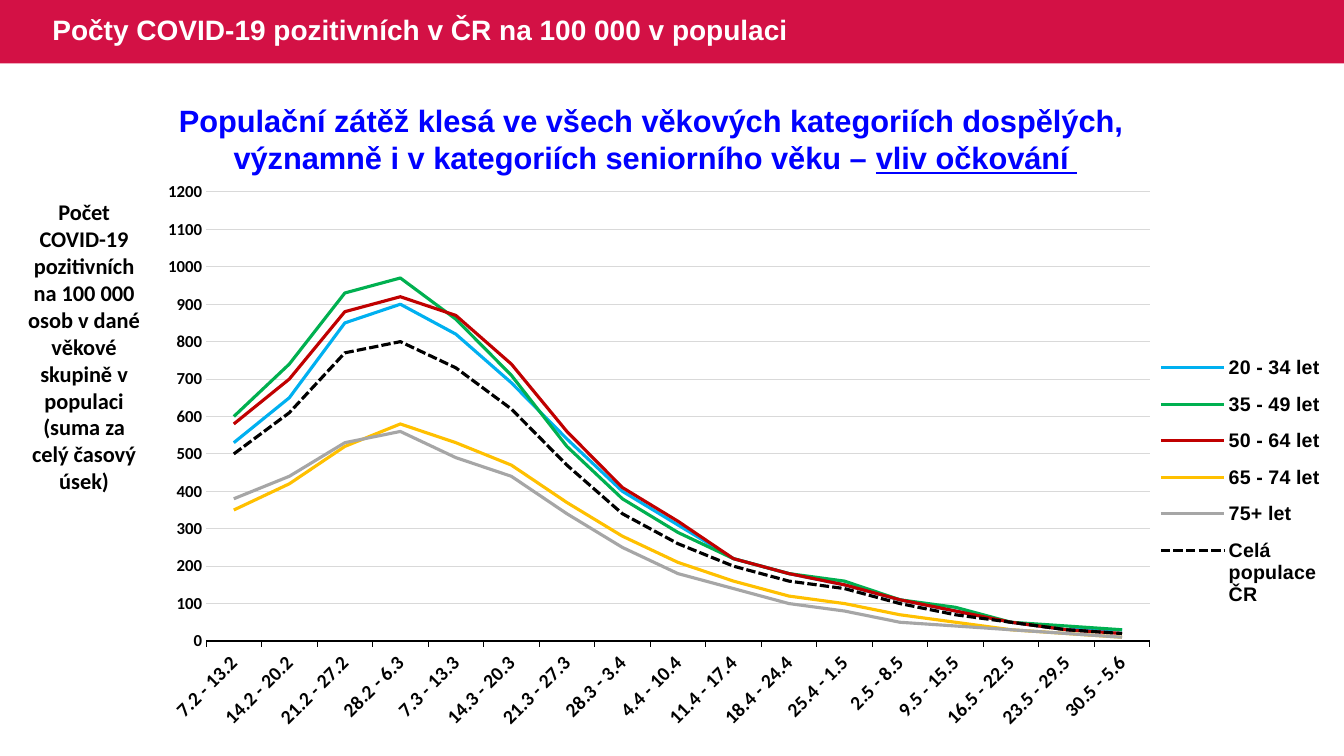
from lxml import etree
from pptx import Presentation
from pptx.chart.data import CategoryChartData
from pptx.dml.color import RGBColor
from pptx.enum.chart import XL_CHART_TYPE, XL_LEGEND_POSITION, XL_MARKER_STYLE, XL_TICK_MARK
from pptx.enum.dml import MSO_LINE
from pptx.enum.shapes import MSO_SHAPE
from pptx.enum.text import MSO_ANCHOR, PP_ALIGN
from pptx.oxml.ns import qn
from pptx.util import Cm, Pt

TITLE = "Počty COVID-19 pozitivních v ČR na 100 000 v populaci"
HEADLINE = [
    [("Populační zátěž klesá ve všech věkových kategoriích dospělých, ", False)],
    [("významně i v kategoriích seniorního věku – ", False), ("vliv očkování ", True)],
]
AXIS_NOTE = ("Počet COVID-19 pozitivních na 100 000 osob v dané věkové skupině "
             "v populaci (suma za celý časový úsek)")
WEEKS = ["7.2 - 13.2", "14.2 - 20.2", "21.2 - 27.2", "28.2 - 6.3", "7.3 - 13.3",
         "14.3 - 20.3", "21.3 - 27.3", "28.3 - 3.4", "4.4 - 10.4", "11.4 - 17.4",
         "18.4 - 24.4", "25.4 - 1.5", "2.5 - 8.5", "9.5 - 15.5", "16.5 - 22.5",
         "23.5 - 29.5", "30.5 - 5.6"]
AGE_GROUPS = [
    ("20 - 34 let", "00B0F0",
     (530, 650, 850, 900, 820, 690, 540, 400, 310, 220, 180, 150, 110, 80, 50, 30, 30)),
    ("35 - 49 let", "00B050",
     (600, 740, 930, 970, 860, 710, 520, 380, 290, 220, 180, 160, 110, 90, 50, 40, 30)),
    ("50 - 64 let", "C00000",
     (580, 700, 880, 920, 870, 740, 560, 410, 320, 220, 180, 150, 110, 80, 50, 30, 20)),
    ("65 - 74 let", "FFC000",
     (350, 420, 520, 580, 530, 470, 370, 280, 210, 160, 120, 100, 70, 50, 30, 20, 10)),
    ("75+ let", "A6A6A6",
     (380, 440, 530, 560, 490, 440, 340, 250, 180, 140, 100, 80, 50, 40, 30, 20, 10)),
    ("Celá populace ČR", "000000",
     (500, 610, 770, 800, 730, 620, 470, 340, 260, 200, 160, 140, 100, 70, 50, 30, 20)),
]
TOTAL = "Celá populace ČR"

THEME = {
    "bar": "D31145", "grid": "D9D9D9", "axis": "000000",
    "title": {"name": "Arial", "size": Pt(20), "bold": True, "color": "FFFFFF"},
    "headline": {"name": "Arial", "size": Pt(22), "bold": True, "color": "0000FF"},
    "note": {"name": "Calibri", "size": Pt(16), "bold": True, "color": "000000"},
    "legend": {"name": "Arial", "size": Pt(14), "bold": True, "color": "000000"},
    "weeks": {"name": "Calibri", "size": Pt(14), "bold": True, "color": "000000"},
    "counts": {"name": "Calibri", "size": Pt(12), "bold": True, "color": "000000"},
}
SLIDE_W, SLIDE_H, BAR_H = Cm(33.87), Cm(19.05), Cm(1.6)
PLOT_AREA = {"x": 0.045, "y": 0.026, "w": 0.803, "h": 0.759}
LEGEND_AREA = {"x": 0.85, "y": 0.28, "w": 0.15, "h": 0.47}


def style(font, fmt):
    for key, value in fmt.items():
        if key == "color":
            font.color.rgb = RGBColor.from_string(value)
        else:
            setattr(font, key, value)


def add_text(s, box, paragraphs, fmt, align=PP_ALIGN.LEFT, anchor=MSO_ANCHOR.TOP, spacing=1.0):
    """Paragraphs are lists of (text, underlined) runs."""
    tf = s.shapes.add_textbox(*box).text_frame
    tf.word_wrap, tf.vertical_anchor = True, anchor
    for i, runs in enumerate(paragraphs):
        p = tf.add_paragraph() if i else tf.paragraphs[0]
        p.alignment, p.line_spacing = align, spacing
        for text, underlined in runs:
            r = p.add_run()
            r.text = text
            style(r.font, fmt)
            if underlined:
                r.font.underline = True


def set_layout(layout, area, inner=False):
    """Fix a chart part to fractions of the chart's size."""
    for child in list(layout):
        layout.remove(child)
    manual = etree.SubElement(layout, qn("c:manualLayout"))
    values = [("layoutTarget", "inner")] if inner else []
    values += [("xMode", "edge"), ("yMode", "edge"), *area.items()]
    for tag, value in values:
        etree.SubElement(manual, qn(f"c:{tag}")).set("val", str(value))


def set_line(line, color, width):
    line.color.rgb = RGBColor.from_string(color)
    line.width = Pt(width)


def add_line_chart(s, box):
    data = CategoryChartData(number_format="###0")
    data.categories = WEEKS
    for name, _, values in AGE_GROUPS:
        data.add_series(name, values)
    chart = s.shapes.add_chart(XL_CHART_TYPE.LINE, *box, data).chart
    chart.has_title = False
    style(chart.font, THEME["legend"])
    chart.plots[0].vary_by_categories = False
    for series, (name, color, _) in zip(chart.plots[0].series, AGE_GROUPS):
        series.smooth = False
        series.marker.style = XL_MARKER_STYLE.NONE
        set_line(series.format.line, color, 2.25)
        if name == TOTAL:
            series.format.line.dash_style = MSO_LINE.SQUARE_DOT

    weeks, counts = chart.category_axis, chart.value_axis
    weeks.major_tick_mark = XL_TICK_MARK.OUTSIDE
    set_line(weeks.format.line, THEME["axis"], 0.75)
    style(weeks.tick_labels.font, THEME["weeks"])
    weeks._element.find(qn("c:txPr")).find(qn("a:bodyPr")).set("rot", "-2700000")

    counts.minimum_scale, counts.maximum_scale, counts.major_unit = 0, 1200, 100
    counts.major_tick_mark = XL_TICK_MARK.NONE
    counts.format.line.fill.background()
    counts.has_major_gridlines = True
    set_line(counts.major_gridlines.format.line, THEME["grid"], 0.75)
    style(counts.tick_labels.font, THEME["counts"])
    counts.tick_labels.number_format = "###0"
    counts.tick_labels.number_format_is_linked = False

    chart.has_legend = True
    legend = chart.legend
    legend.position, legend.include_in_layout = XL_LEGEND_POSITION.RIGHT, False
    style(legend.font, THEME["legend"])
    plot_area = chart._chartSpace.chart.plotArea
    plot_layout = plot_area.find(qn("c:layout"))
    if plot_layout is None:
        plot_layout = etree.Element(qn("c:layout"))
        plot_area.insert(0, plot_layout)
    set_layout(plot_layout, PLOT_AREA, inner=True)
    legend_layout = legend._element.find(qn("c:layout"))
    if legend_layout is None:
        legend_layout = etree.Element(qn("c:layout"))
        legend._element.find(qn("c:legendPos")).addnext(legend_layout)
    set_layout(legend_layout, LEGEND_AREA)


def main():
    prs = Presentation()
    prs.slide_width, prs.slide_height = SLIDE_W, SLIDE_H
    s = prs.slides.add_slide(prs.slide_layouts[6])

    bar = s.shapes.add_shape(MSO_SHAPE.RECTANGLE, 0, 0, SLIDE_W, BAR_H)
    bar.shadow.inherit = False
    bar.fill.solid()
    bar.fill.fore_color.rgb = RGBColor.from_string(THEME["bar"])
    bar.line.fill.background()

    add_text(s, (Cm(1.07), 0, Cm(21.26), BAR_H), [[(TITLE, False)]], THEME["title"],
             anchor=MSO_ANCHOR.MIDDLE, spacing=0.9)
    add_line_chart(s, (Cm(3.86), Cm(4.45), Cm(29.62), Cm(14.91)))
    add_text(s, (Cm(0.38), Cm(4.88), Cm(3.48), Cm(7.77)), [[(AXIS_NOTE, False)]],
             THEME["note"], PP_ALIGN.CENTER)
    add_text(s, (Cm(0.76), Cm(2.44), Cm(31.52), Cm(2.13)), HEADLINE,
             THEME["headline"], PP_ALIGN.CENTER)
    prs.save("out.pptx")


if __name__ == "__main__":
    main()
